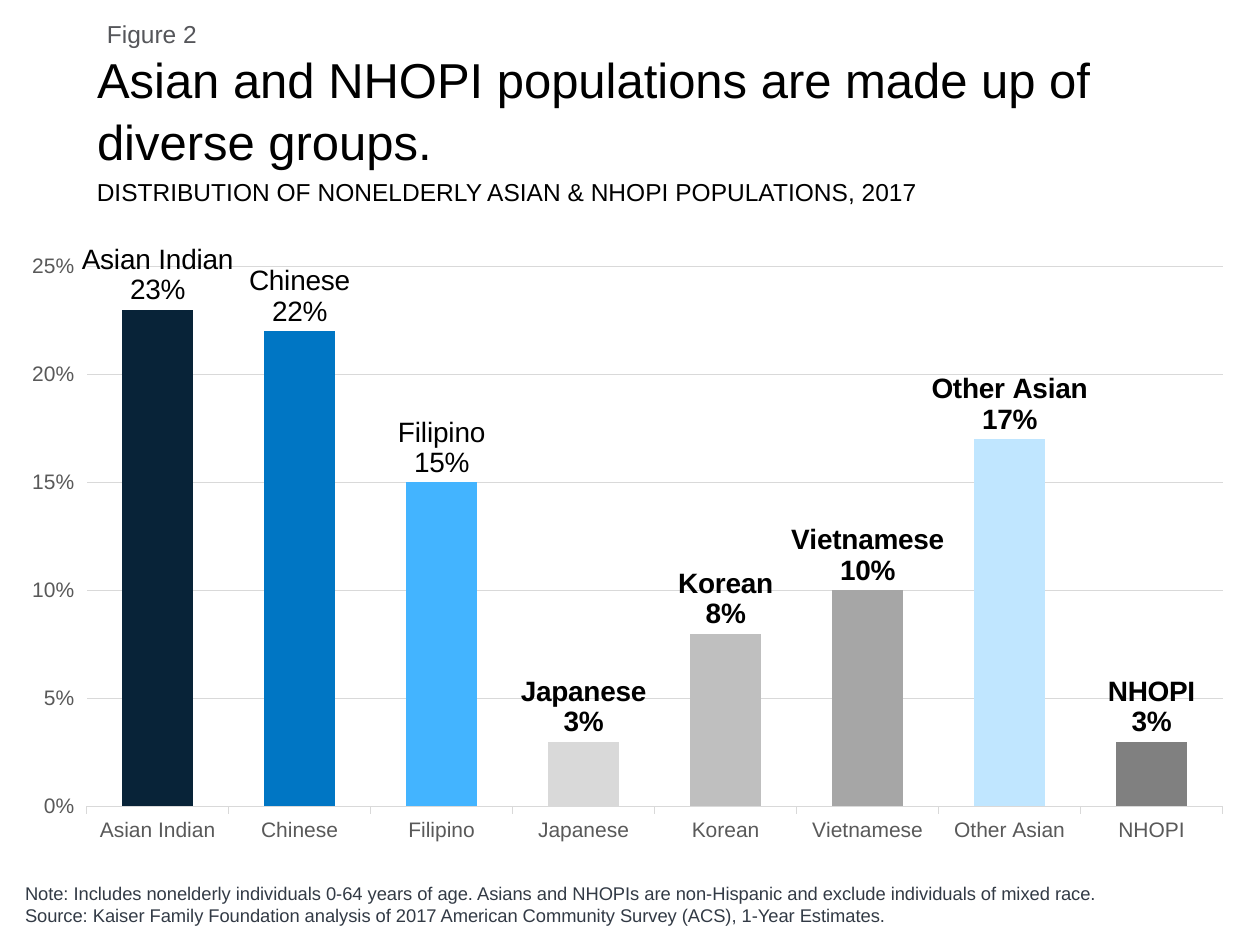
from lxml import etree
from pptx import Presentation
from pptx.chart.data import CategoryChartData
from pptx.dml.color import RGBColor
from pptx.enum.chart import XL_CHART_TYPE, XL_LABEL_POSITION, XL_TICK_MARK
from pptx.enum.text import MSO_ANCHOR, MSO_AUTO_SIZE, PP_ALIGN
from pptx.oxml import parse_xml
from pptx.oxml.ns import nsdecls, qn
from pptx.util import Inches, Pt

BLACK = RGBColor(0x00, 0x00, 0x00)
FIGURE_GRAY = RGBColor(0x55, 0x56, 0x5A)
NOTE_GRAY = RGBColor(0x32, 0x3A, 0x45)
AXIS_GRAY = RGBColor(0x59, 0x59, 0x59)
NAVY = RGBColor(0x08, 0x23, 0x38)
BLUE = RGBColor(0x00, 0x76, 0xC4)
SKY = RGBColor(0x43, 0xB4, 0xFF)
PALE_BLUE = RGBColor(0xC0, 0xE6, 0xFF)
LIGHT_GRAY = RGBColor(0xD9, 0xD9, 0xD9)
SILVER = RGBColor(0xBF, 0xBF, 0xBF)
MEDIUM_GRAY = RGBColor(0xA6, 0xA6, 0xA6)
DARK_GRAY = RGBColor(0x80, 0x80, 0x80)

# Group, share of the population, bar colour
GROUPS = [
    ("Asian Indian", 0.23, NAVY),
    ("Chinese", 0.22, BLUE),
    ("Filipino", 0.15, SKY),
    ("Japanese", 0.03, LIGHT_GRAY),
    ("Korean", 0.08, SILVER),
    ("Vietnamese", 0.10, MEDIUM_GRAY),
    ("Other Asian", 0.17, PALE_BLUE),
    ("NHOPI", 0.03, DARK_GRAY),
]
REGULAR_LABELS = 3  # the leading groups have labels that are not bold
NOTES = [
    "Note: Includes nonelderly individuals 0-64 years of age. "
    "Asians and NHOPIs are non-Hispanic and exclude individuals of mixed race.",
    "Source: Kaiser Family Foundation analysis of 2017 American Community "
    "Survey (ACS), 1-Year Estimates.",
]


class FigureSlide:
    font_name = "Arial"
    columns, rows = 100, 75  # grid cells of a tenth of an inch

    def __init__(self, presentation):
        self.cell_width = presentation.slide_width / self.columns
        self.cell_height = presentation.slide_height / self.rows
        self.slide = presentation.slides.add_slide(presentation.slide_layouts[5])

    def area(self, column, row, width, height):
        """Turn grid columns and rows into slide lengths."""
        return (
            int(column * self.cell_width),
            int(row * self.cell_height),
            int(width * self.cell_width),
            int(height * self.cell_height),
        )

    def set_font(self, font, size, color, bold=False):
        font.name = self.font_name
        font.size = Pt(size)
        font.bold = bold
        font.color.rgb = color

    def fill_text(self, text_frame, lines, size, color, anchor):
        text_frame.word_wrap = True
        text_frame.auto_size = MSO_AUTO_SIZE.NONE
        text_frame.vertical_anchor = anchor
        text_frame.text = "\n".join(lines)
        for paragraph in text_frame.paragraphs:
            paragraph.alignment = PP_ALIGN.LEFT
            self.set_font(paragraph.font, size, color)

    def title(self, text, area, size=28):
        title = self.slide.shapes.title
        title.left, title.top, title.width, title.height = self.area(*area)
        self.fill_text(title.text_frame, [text], size, BLACK, MSO_ANCHOR.MIDDLE)
        title.text_frame.paragraphs[0].line_spacing = 1.05

    def text(self, lines, area, size=14, color=BLACK, anchor=MSO_ANCHOR.TOP):
        box = self.slide.shapes.add_textbox(*self.area(*area))
        self.fill_text(box.text_frame, lines, size, color, anchor)

    def column_chart(self, groups, area):
        chart_data = CategoryChartData(number_format="0%")
        chart_data.categories = [name for name, share, color in groups]
        chart_data.add_series("Series 1", [share for name, share, color in groups])
        chart = self.slide.shapes.add_chart(
            XL_CHART_TYPE.COLUMN_CLUSTERED, *self.area(*area), chart_data
        ).chart
        chart.has_legend = False
        chart.has_title = False
        self.set_font(chart.font, 10, BLACK)
        self.place_plot(chart, x=0.06, y=0.04, w=0.92, h=0.88)

        plot = chart.plots[0]
        plot.gap_width = 100
        plot.vary_by_categories = False
        self.format_axes(chart)
        self.format_bars(plot.series[0], groups)

    def place_plot(self, chart, **shares):
        """Fix the inner plot area as shares of the chart's size."""
        plot_area = chart.plots[0]._element.getparent()
        for old_layout in plot_area.findall(qn("c:layout")):
            plot_area.remove(old_layout)
        layout = parse_xml(
            f'<c:layout {nsdecls("c")}><c:manualLayout>'
            '<c:layoutTarget val="inner"/><c:xMode val="edge"/><c:yMode val="edge"/>'
            + "".join(f'<c:{side} val="{share}"/>' for side, share in shares.items())
            + "</c:manualLayout></c:layout>"
        )
        plot_area.insert(0, layout)

    def format_axes(self, chart):
        category_axis, value_axis = chart.category_axis, chart.value_axis
        value_axis.minimum_scale = 0
        value_axis.maximum_scale = 0.25
        value_axis.major_unit = 0.05
        value_axis.tick_labels.number_format = "0%"
        value_axis.tick_labels.number_format_is_linked = False
        value_axis.format.line.fill.background()
        for axis in (category_axis, value_axis):
            axis.major_tick_mark = XL_TICK_MARK.OUTSIDE
            self.set_font(axis.tick_labels.font, 12, AXIS_GRAY)
        for line in (category_axis.format.line, value_axis.major_gridlines.format.line):
            line.color.rgb = LIGHT_GRAY
            line.width = Pt(0.75)

    def format_bars(self, series, groups):
        series.format.fill.solid()
        series.format.fill.fore_color.rgb = NAVY
        labels = series.data_labels
        labels.show_value = True
        labels.show_category_name = True
        labels.number_format = "0%"
        labels.number_format_is_linked = False
        labels.position = XL_LABEL_POSITION.OUTSIDE_END
        self.set_font(labels.font, 16, BLACK, bold=True)
        separator = etree.Element(qn("c:separator"))
        separator.text = "\n"
        labels._element.find(qn("c:showBubbleSize")).addnext(separator)

        for index, (name, share, color) in enumerate(groups):
            point = series.points[index]
            point.format.fill.solid()
            point.format.fill.fore_color.rgb = color
            if index < REGULAR_LABELS:
                label = point.data_label
                label.text_frame.text = f"{name}\n{share:.0%}"
                label.position = XL_LABEL_POSITION.OUTSIDE_END
                for paragraph in label.text_frame.paragraphs:
                    for run in paragraph.runs:
                        self.set_font(run.font, 16, BLACK)


def main():
    presentation = Presentation()
    presentation.slide_width = Inches(10)
    presentation.slide_height = Inches(7.5)

    figure = FigureSlide(presentation)
    figure.text(["Figure 2"], (7.5, 1, 91.5, 3.4), color=FIGURE_GRAY)
    figure.title(
        "Asian and NHOPI populations are made up of diverse groups.",
        (6.7, 3.6, 92.3, 10),
    )
    figure.text(NOTES, (1, 68, 89.8, 6), 10.5, NOTE_GRAY, MSO_ANCHOR.BOTTOM)
    figure.text(
        ["DISTRIBUTION OF NONELDERLY ASIAN & NHOPI POPULATIONS, 2017"],
        (6.7, 13.6, 86.7, 3.4),
    )
    figure.column_chart(GROUPS, (1, 19.2, 98, 48.7))
    presentation.save("out.pptx")


if __name__ == "__main__":
    main()
